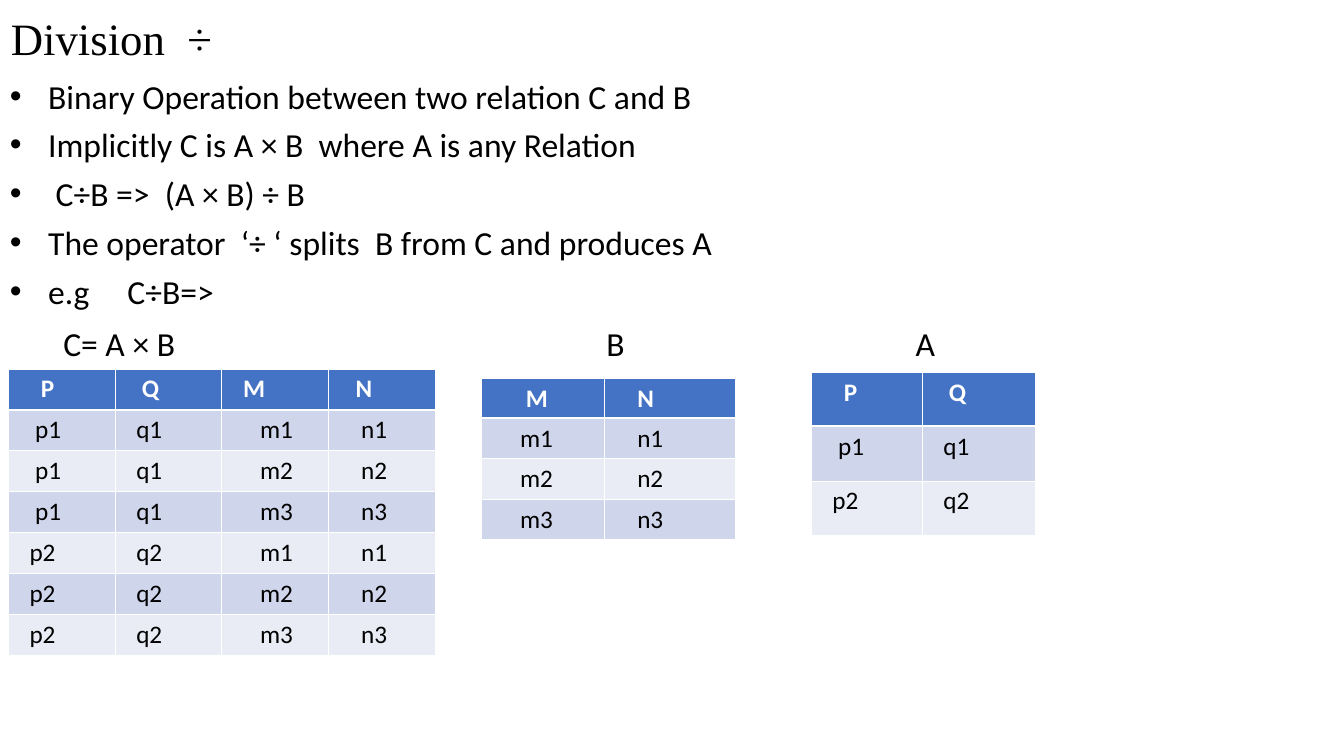
from itertools import product

from lxml.etree import SubElement
from pptx import Presentation
from pptx.dml.color import RGBColor
from pptx.oxml import parse_xml
from pptx.oxml.ns import nsdecls, qn
from pptx.util import Inches, Pt

BLACK = RGBColor(0x00, 0x00, 0x00)
WHITE = RGBColor(0xFF, 0xFF, 0xFF)
HEADER_BLUE = RGBColor(0x44, 0x72, 0xC4)
BAND_DARK = RGBColor(0xCF, 0xD5, 0xEA)
BAND_LIGHT = RGBColor(0xE9, 0xEB, 0xF5)

THIN, THICK = Pt(0.45), Pt(1.47)
CELL_MARGIN = 0.1
INDENT_STEP = 0.0565  # width of one space at 18 pt
LINE_PITCH = 0.49
BODY_TOP = 0.7

# Cell indents, in steps
VALUE_INDENTS = {"p1": 3, "p2": 2, "q1": 2, "q2": 2,
                 "m1": 5, "m2": 5, "m3": 5, "n1": 4, "n2": 4, "n3": 4}

BULLETS = [
    ["Binary Operation between two relation C and B"],
    ["Implicitly C is A × B  where A is any Relation"],
    [" C÷B =>  (A × B) ÷ B"],
    ["The operator  ‘÷ ‘ splits  B from C and produces A"],
    ["e.g", " ", "C÷B=>"],
]
EXAMPLE_GAP = 21.7  # extra points after "e.g"

RELATION_A = [("p1", "q1"), ("p2", "q2")]
RELATION_B = [("m1", "n1"), ("m2", "n2"), ("m3", "n3")]
RELATION_C = [a + b for a, b in product(RELATION_A, RELATION_B)]

CAPTIONS = [("C= A × B", 0.53, 1.5), ("B", 5.92, 0.6), ("A", 8.99, 0.6)]


def add_text(paragraph, text, size=24, font="Calibri", color=BLACK,
             bold=False, spacing=0):
    run = paragraph.add_run()
    run.text = text
    run.font.size = Pt(size)
    run.font.name = font
    run.font.color.rgb = color
    run.font.bold = bold
    if spacing:
        run.font._element.set("spc", str(round(spacing * 100)))


def add_bullet(paragraph, indent=0.38):
    properties = paragraph._p.get_or_add_pPr()
    properties.set("marL", str(Inches(indent)))
    properties.set("indent", str(-Inches(indent)))
    SubElement(properties, qn("a:buFont")).set("typeface", "Arial")
    SubElement(properties, qn("a:buChar")).set("char", "•")


def set_borders(cell, **widths):
    properties = cell._tc.get_or_add_tcPr()
    for position, side in enumerate("LRTB"):
        width = widths.get(side, THIN)
        properties.insert(position, parse_xml(
            f'<a:ln{side} {nsdecls("a")} w="{width}"><a:solidFill>'
            f'<a:srgbClr val="{WHITE}"/></a:solidFill></a:ln{side}>'))


class DivisionSlide:
    def __init__(self, presentation):
        self.slide = presentation.slides.add_slide(presentation.slide_layouts[6])

    def text_box(self, left, top, width, height, wrap=True):
        box = self.slide.shapes.add_textbox(
            Inches(left), Inches(top), Inches(width), Inches(height))
        box.text_frame.word_wrap = wrap
        return box.text_frame

    def title(self, text):
        frame = self.text_box(0.01, 0.06, 2.2, 0.64, wrap=False)
        add_text(frame.paragraphs[0], text, size=32, font="Times New Roman")

    def bullets(self, items):
        frame = self.text_box(0, BODY_TOP, 13.26, 2.5)
        for number, pieces in enumerate(items):
            paragraph = frame.add_paragraph() if number else frame.paragraphs[0]
            if number:
                paragraph.space_before = Pt(6)
            add_bullet(paragraph)
            for piece in pieces:
                add_text(paragraph, piece,
                         spacing=EXAMPLE_GAP if piece == " " else 0)

    def caption(self, text, left, width):
        frame = self.text_box(left, BODY_TOP + len(BULLETS) * LINE_PITCH, width, 0.5)
        add_text(frame.paragraphs[0], text)

    def relation(self, headers, records, left, top, widths, row_height):
        """Add a table; headers are (name, indent steps) pairs."""
        rows = [[name for name, _ in headers], *records]
        table = self.slide.shapes.add_table(
            len(rows), len(headers), Inches(left), Inches(top),
            Inches(sum(widths)), Inches(row_height * len(rows))).table
        for column, width in zip(table.columns, widths):
            column.width = Inches(width)
        for row_number, values in enumerate(rows):
            table.rows[row_number].height = Inches(row_height)
            for column_number, value in enumerate(values):
                cell = table.cell(row_number, column_number)
                is_header = row_number == 0
                if is_header:
                    fill, steps = HEADER_BLUE, headers[column_number][1]
                else:
                    fill = BAND_DARK if row_number % 2 else BAND_LIGHT
                    steps = VALUE_INDENTS[value]
                cell.margin_left = Inches(CELL_MARGIN + steps * INDENT_STEP)
                cell.fill.solid()
                cell.fill.fore_color.rgb = fill
                set_borders(cell, B=THICK if is_header else THIN,
                            T=THICK if row_number == 1 else THIN)
                add_text(cell.text_frame.paragraphs[0], value, size=18,
                         color=WHITE if is_header else BLACK, bold=is_header)


def main():
    presentation = Presentation()
    presentation.slide_width = Inches(13.34)
    presentation.slide_height = Inches(7.5)

    division = DivisionSlide(presentation)
    division.title("Division  ÷")
    division.bullets(BULLETS)
    for caption in CAPTIONS:
        division.caption(*caption)
    division.relation([("M", 6), ("N", 4)], RELATION_B,
                      4.78, 3.75, [1.22, 1.3], 0.4)
    division.relation([("P", 4), ("Q", 3), ("M", 2), ("N", 3)], RELATION_C,
                      0.08, 3.66, [1.06] * 4, 0.406)
    division.relation([("P", 4), ("Q", 3)], RELATION_A,
                      8.05, 3.69, [1.1, 1.13], 0.54)
    presentation.save("out.pptx")


if __name__ == "__main__":
    main()
